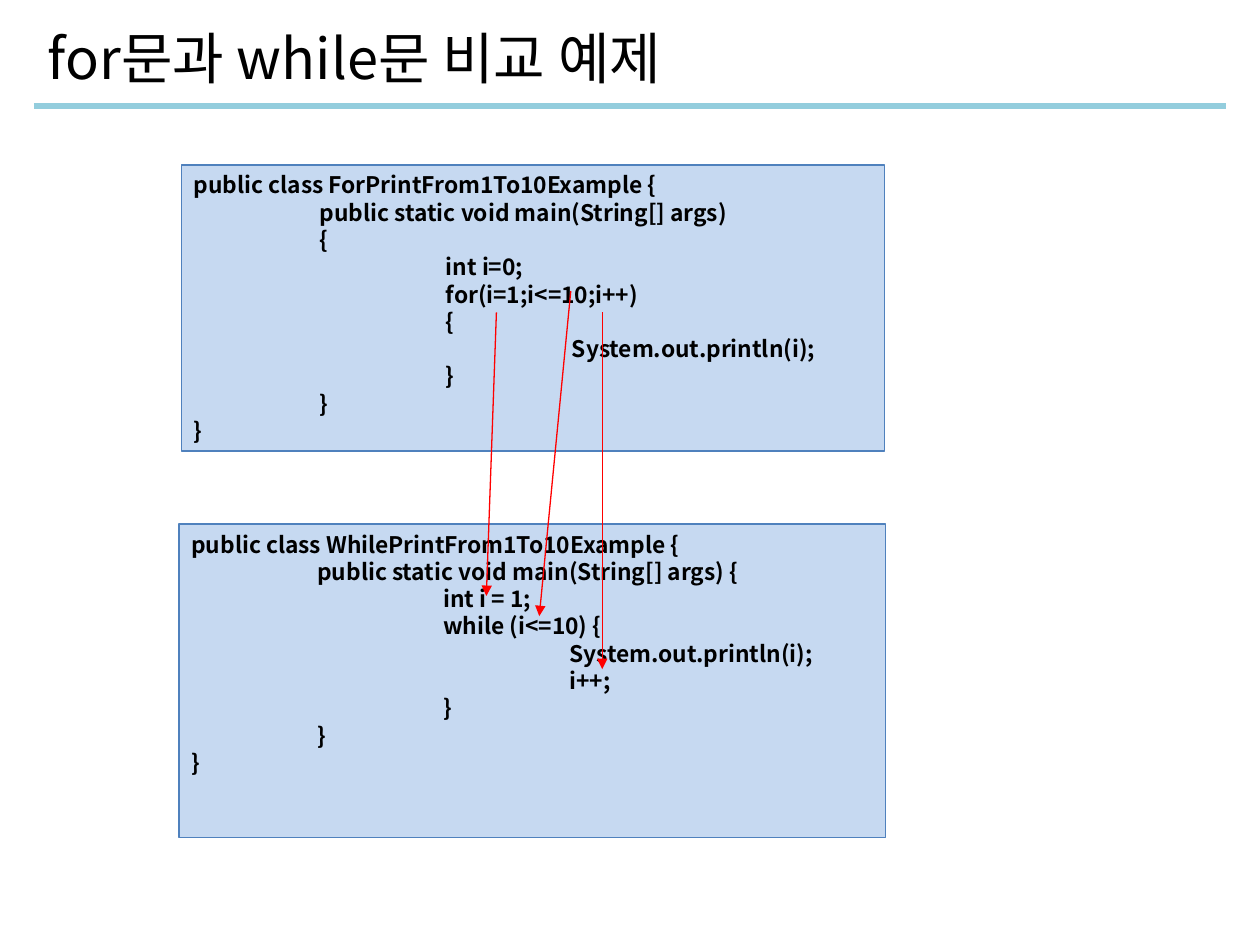
from pptx import Presentation
from pptx.dml.color import RGBColor
from pptx.enum.shapes import MSO_CONNECTOR as Conn, MSO_SHAPE as Shape
from pptx.enum.text import MSO_ANCHOR as Anchor, PP_ALIGN as Align
from pptx.oxml.ns import qn
from pptx.util import Inches, Pt
from lxml.etree import SubElement as Sub

TITLE = "for문과 while문 비교 예제"
FOR_CODE = """\
public class ForPrintFrom1To10Example {
\tpublic static void main(String[] args)
\t{
\t\tint i=0;
\t\tfor(i=1;i<=10;i++)
\t\t{
\t\t\tSystem.out.println(i);
\t\t}
\t}
}"""
WHILE_CODE = """\
public class WhilePrintFrom1To10Example {
\tpublic static void main(String[] args) {
\t\tint i = 1;
\t\twhile (i<=10) {
\t\t\tSystem.out.println(i);
\t\t\ti++;
\t\t}
\t}
}"""
PANELS = [
    (FOR_CODE, (1.44, 1.31, 5.58, 2.27)),
    (WHILE_CODE, (1.42, 4.16, 5.61, 2.49)),
]
# Each arrow joins a part of the for header to its place in the while loop.
ARROWS = [
    (3.94, 2.48, 3.86, 4.73),  # start value
    (4.53, 2.31, 4.28, 4.89),  # condition
    (4.78, 2.48, 4.78, 5.31),  # increment
]
RULE = (0.27, 0.84, 9.73, 0.84)
THEME = {
    "font": "Noto Sans CJK KR",
    "title": 32, "code": 13, "lead": 15.6, "thin": 0.75, "thick": 3.5,
    "ink": "000000", "panel": "C6D9F1", "edge": "4F81BD",
    "rule": "93CDDD", "arrow": "FF0000",
}


def color(key):
    return RGBColor.from_string(THEME[key])


def write(frame, text, size, bold=False, lead=None, tabs=0, anchor=Anchor.TOP):
    """Fill a frame, one paragraph a line, with tab stops an inch apart."""
    frame.word_wrap = True
    frame.vertical_anchor = anchor
    for n, line in enumerate(text.split("\n")):
        para = frame.paragraphs[0] if n == 0 else frame.add_paragraph()
        para.alignment = Align.LEFT
        if lead:
            para.line_spacing = Pt(lead)
        if tabs:
            stops = Sub(para._p.get_or_add_pPr(), qn("a:tabLst"))
            for stop in range(1, tabs + 1):
                Sub(stops, qn("a:tab"), pos=str(Inches(stop)), algn="l")
        run = para.add_run()
        run.text = line
        font = run.font
        font.name, font.size, font.bold = THEME["font"], Pt(size), bold
        font.color.rgb = color("ink")
        Sub(run._r.get_or_add_rPr(), qn("a:ea"), typeface=THEME["font"])


def add_line(slide, ends, key, width, head=False):
    line = slide.shapes.add_connector(Conn.STRAIGHT, *map(Inches, ends))
    line.line.color.rgb = color(key)
    line.line.width = Pt(width)
    if head:
        Sub(line.line._get_or_add_ln(), qn("a:tailEnd"), type="triangle")
    Sub(line._element.spPr, qn("a:effectLst"))


def add_panel(slide, code, box):
    panel = slide.shapes.add_shape(Shape.RECTANGLE, *map(Inches, box))
    panel.shadow.inherit = False
    panel.fill.solid()
    panel.fill.fore_color.rgb = color("panel")
    panel.line.color.rgb = color("edge")
    panel.line.width = Pt(THEME["thin"])
    write(panel.text_frame, code, THEME["code"], bold=True,
          lead=THEME["lead"], tabs=7)


def main():
    deck = Presentation()
    deck.slide_width, deck.slide_height = Inches(10), Inches(7.5)
    slide = deck.slides.add_slide(deck.slide_layouts[5])
    add_line(slide, RULE, "rule", THEME["thick"])
    title = slide.shapes.title
    title.left, title.top = Inches(0.28), Inches(0.08)
    title.width, title.height = Inches(8.92), Inches(0.74)
    write(title.text_frame, TITLE, THEME["title"], anchor=Anchor.MIDDLE)
    for code, box in PANELS:
        add_panel(slide, code, box)
    for ends in ARROWS:
        add_line(slide, ends, "arrow", THEME["thin"], head=True)
    deck.save("out.pptx")


if __name__ == "__main__":
    main()
